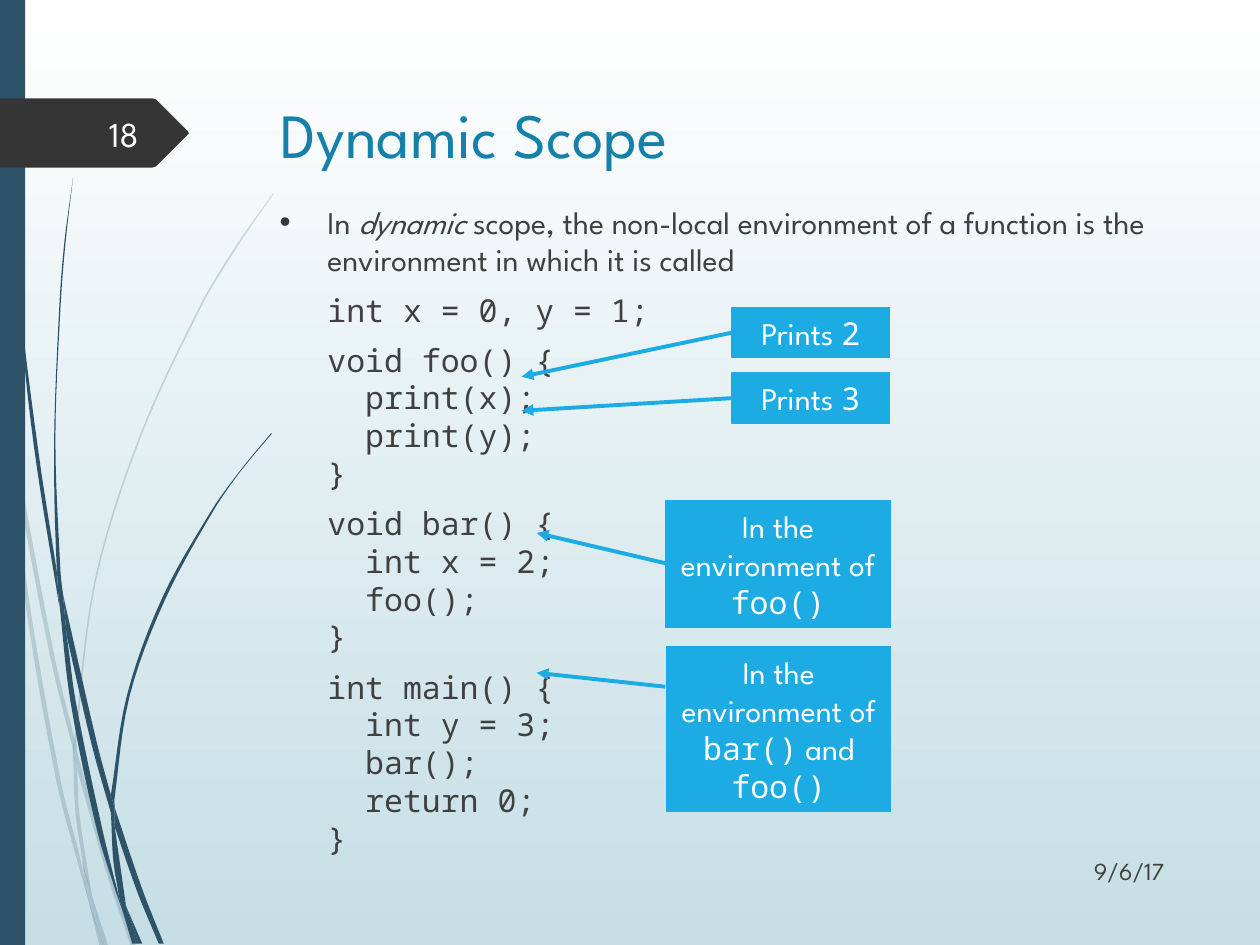
from typing import NamedTuple

from lxml import etree
from pptx import Presentation
from pptx.dml.color import RGBColor
from pptx.enum.shapes import MSO_CONNECTOR, MSO_SHAPE
from pptx.enum.text import MSO_ANCHOR, PP_ALIGN
from pptx.oxml.ns import qn
from pptx.util import Inches, Pt

RECT, LINE = MSO_SHAPE.RECTANGLE, MSO_CONNECTOR.STRAIGHT
LEFT, RIGHT, MID = PP_ALIGN.LEFT, PP_ALIGN.RIGHT, PP_ALIGN.CENTER
TOP, CENTER = MSO_ANCHOR.TOP, MSO_ANCHOR.MIDDLE
SANS, MONO = "League Spartan", "Noto Sans Mono"
NAVY, SKY, DARK, GREY, WHITE = "2E5369", "1CACE3", "353535", "404040", "FFFFFF"

Point = tuple[float, float]


class Wisp(NamedTuple):
    """A blade of grass: one edge going down, the other coming back up."""
    down: list[Point]
    up: list[Point]


class Run(NamedTuple):
    text: str
    font: str = SANS
    italic: bool = False


class Note(NamedTuple):
    box: tuple[float, float, float, float]
    runs: list[Run]
    start: Point
    end: Point


PALE = [
    Wisp([(.1, 3.45), (.43, 5.2), (.59, 5.86)], [(.59, 5.99), (.4, 5.22), (.12, 3.76)]),
    Wisp([(.61, 5.96), (.88, 6.92), (1.08, 7.51)], [(1.04, 7.51), (.85, 6.94), (.61, 6.1)]),
    Wisp([(.73, 7.11), (.86, 7.51)], [(.83, 7.51), (.73, 7.11)]),
    Wisp([(.08, 3.5), (.22, 4.69), (.48, 6.19), (.64, 6.83), (.7, 7.14)],
         [(.64, 6.93), (.45, 6.21), (.19, 4.7), (.08, 3.5)]),
    Wisp([(.58, 5.99), (.61, 6.1), (.63, 6.46), (.73, 7.11)],
         [(.67, 6.92), (.6, 6.46), (.58, 5.99)]),
    Wisp([(2.17, 1.53), (1.86, 1.97), (1.58, 2.44), (1.1, 3.48), (.75, 4.61), (.59, 5.86)],
         [(.61, 5.96), (.61, 5.84), (.76, 4.62), (1.11, 3.49), (1.59, 2.45), (1.87, 1.98),
          (2.17, 1.54)]),
    Wisp([(.7, 7.14), (.79, 7.51)], [(.82, 7.51), (.7, 7.14)]),
    Wisp([(.59, 5.86), (.58, 5.99), (.61, 6.08)], [(.61, 6.1), (.61, 5.96), (.59, 5.86)]),
    Wisp([(.65, 6.83), (.7, 7.14), (.82, 7.51)], [(.83, 7.51), (.73, 7.11), (.65, 6.83)]),
]
DEEP = [
    Wisp([(.02, 0), (.05, 1.1), (.14, 2.33), (.27, 3.55), (.47, 4.81)],
         [(.45, 4.53), (.3, 3.55), (.15, 2.32), (.06, 1.09), (.03, 0)]),
    Wisp([(.5, 4.72), (.77, 5.9), (.88, 6.31)], [(.88, 6.45), (.73, 5.92), (.53, 5.05)]),
    Wisp([(.91, 6.41), (1.13, 7.06), (1.3, 7.49)], [(1.26, 7.49), (1.09, 7.08), (.91, 6.56)]),
    Wisp([(.47, 4.77), (.53, 5.05), (.6, 5.56), (.81, 6.57), (.97, 7.22)],
         [(.92, 7.08), (.77, 6.59), (.56, 5.57), (.47, 4.77)]),
    Wisp([(.58, 1.41), (.51, 1.93), (.47, 2.45), (.43, 3.49), (.45, 4.49), (.49, 4.72)],
         [(.5, 4.72), (.48, 4.53), (.44, 3.49), (.48, 2.45), (.52, 1.93), (.58, 1.41)]),
    Wisp([(1, 7.19), (1.1, 7.49)], [(1.13, 7.49), (1, 7.19)]),
    Wisp([(.45, 4.49), (.47, 4.77), (.53, 5.05)], [(.5, 4.72), (.45, 4.49)]),
    Wisp([(2.15, 3.44), (1.91, 3.73), (1.68, 4.05), (1.29, 4.74), (1.01, 5.51), (.88, 6.31)],
         [(.91, 6.41), (.91, 6.33), (1.03, 5.52), (1.31, 4.76), (1.69, 4.06), (1.91, 3.74),
          (2.16, 3.44)]),
    Wisp([(.97, 7.22), (1.05, 7.49)], [(1.08, 7.49), (.97, 7.22)]),
    Wisp([(.88, 6.45), (.91, 6.91), (1, 7.19)], [(.91, 6.56), (.88, 6.45)]),
    Wisp([(.88, 6.31), (.88, 6.45), (.91, 6.56)], [(.91, 6.41), (.88, 6.31)]),
    Wisp([(.91, 6.91), (.97, 7.22), (1.08, 7.49)], [(1.1, 7.49), (1, 7.19), (.91, 6.91)]),
]
TAG = [(1.49, 1.04), (1.5, 1.06), (1.49, 1.07), (1.24, 1.32), (1.21, 1.33),
       (0, 1.33), (0, .78), (1.21, .78), (1.24, .79)]

INTRO = [Run("In "), Run("dynamic", italic=True),
         Run(" scope, the non-local environment of a function is the "
             "environment in which it is called")]
CODE = [
    "int x = 0, y = 1;",
    "void foo() {\n  print(x);\n  print(y);\n}",
    "void bar() {\n  int x = 2;\n  foo();\n}",
    "int main() {\n  int y = 3;\n  bar();\n  return 0;\n}",
]
SCOPE = Run("In the environment of ")
NOTES = [
    Note((5.81, 2.44, 1.25, .4), [Run("Prints "), Run("2", MONO)], (5.81, 2.64), (4.14, 2.99)),
    Note((5.28, 3.97, 1.79, 1.01), [SCOPE, Run("foo()", MONO)], (5.28, 4.47), (4.26, 4.23)),
    Note((5.29, 5.13, 1.78, 1.31),
         [SCOPE, Run("bar()", MONO), Run(" and "), Run("foo()", MONO)],
         (5.28, 5.45), (4.26, 5.34)),
    Note((5.81, 2.96, 1.25, .4), [Run("Prints "), Run("3", MONO)], (5.81, 3.16), (4.14, 3.26)),
]


def paint(color, code: str) -> None:
    color.rgb = RGBColor.from_string(code)


def fill(shape, code: str) -> None:
    shape.shadow.inherit = False
    shape.fill.solid()
    paint(shape.fill.fore_color, code)
    shape.line.fill.background()


def write(para, runs: list[Run], size: float, code: str, align=LEFT) -> None:
    para.alignment = align
    for item in runs:
        form = {"name": item.font, "size": Pt(size), "italic": item.italic}
        for row, text in enumerate(item.text.split("\n")):
            if row:
                para.add_line_break()
            run = para.add_run()
            run.text = text
            for key, value in form.items():
                setattr(run.font, key, value)
            paint(run.font.color, code)


def add_text(shapes, box: tuple, anchor=CENTER):
    frame = shapes.add_textbox(*map(Inches, box)).text_frame
    frame.word_wrap = True
    frame.vertical_anchor = anchor
    return frame


def smooth(pts: list[Point], steps: int = 6) -> list[Point]:
    """Curve through the points, taking x as a function of y."""
    last = len(pts) - 1
    slope = []
    for i in range(last + 1):
        (xa, ya), (xb, yb) = pts[max(i - 1, 0)], pts[min(i + 1, last)]
        slope.append((xb - xa) / (yb - ya))
    curve = [pts[0]]
    for i in range(last):
        (xa, ya), (xb, yb) = pts[i], pts[i + 1]
        high = yb - ya
        for t in (n / steps for n in range(1, steps + 1)):
            ease = t * t * (3 - 2 * t)
            bend = t * (1 - t) * ((1 - t) * slope[i] - t * slope[i + 1])
            curve.append((xa + (xb - xa) * ease + high * bend, ya + high * t))
    return curve


def add_form(shapes, pts: list[Point], code: str):
    start, *rest = [(Inches(x), Inches(y)) for x, y in pts]
    pen = shapes.build_freeform(*start)
    pen.add_line_segments(rest, close=True)
    form = pen.convert_to_shape()
    fill(form, code)
    return form


def add_note(shapes, note: Note) -> None:
    box = shapes.add_shape(RECT, *map(Inches, note.box))
    fill(box, SKY)
    paint(box.line.color, SKY)
    box.line.width = Pt(.75)
    box.text_frame.word_wrap = True
    write(box.text_frame.paragraphs[0], note.runs, 18, WHITE, MID)
    arrow = shapes.add_connector(LINE, *map(Inches, note.start + note.end))
    paint(arrow.line.color, SKY)
    arrow.line.width = Pt(2.25)
    etree.SubElement(arrow.line._get_or_add_ln(), qn("a:tailEnd"), type="triangle")
    etree.SubElement(arrow._element.spPr, qn("a:effectLst"))


def main() -> None:
    deck = Presentation()
    deck.slide_width, deck.slide_height = Inches(10), Inches(7.5)
    slide = deck.slides.add_slide(deck.slide_layouts[6])
    shapes = slide.shapes

    # Background, grass, side bar and number tag
    back = slide.background.fill
    back.gradient()
    back.gradient_angle = 270
    for stop, code in zip(back.gradient_stops, (WHITE, "C5DEE5")):
        paint(stop.color, code)
    for wisp in PALE + DEEP:
        form = add_form(shapes, smooth(wisp.down) + smooth(wisp.up), NAVY)
        if wisp in PALE:
            tint = form._element.spPr.find(".//" + qn("a:srgbClr"))
            etree.SubElement(tint, qn("a:alpha"), val="20000")
    fill(shapes.add_shape(RECT, 0, 0, Inches(.2), Inches(7.5)), NAVY)
    add_form(shapes, TAG, DARK)

    # Title, date and number
    for box, text, size, code, align in (
            ((2.13, .68, 7.21, .75), "Dynamic Scope", 36, "1581AA", LEFT),
            ((8.01, 6.71, 1.33, .4), "9/6/17", 14, GREY, RIGHT),
            ((.56, .86, .64, .4), "18", 20, "FEFFFF", RIGHT)):
        write(add_text(shapes, box).paragraphs[0], [Run(text)], size, code, align)

    # Bulleted statement, then the code blocks
    body = add_text(shapes, (2.12, 1.56, 7.21, 5), TOP)
    para = body.paragraphs[0]
    props = para._p.get_or_add_pPr()
    props.set("indent", str(-Inches(.38)))
    tint = etree.SubElement(props, qn("a:buClr"))
    etree.SubElement(tint, qn("a:srgbClr"), val=DARK)
    etree.SubElement(props, qn("a:buFont"), typeface="Arial")
    etree.SubElement(props, qn("a:buChar"), char="•")
    write(para, INTRO, 18, GREY)
    for block in CODE:
        para = body.add_paragraph()
        para.space_before = Pt(7)
        write(para, [Run(block, MONO)], 18, GREY)
    for para in body.paragraphs:
        para._p.get_or_add_pPr().set("marL", str(Inches(.38)))

    # Notes with arrows
    for note in NOTES:
        add_note(shapes, note)
    deck.save("out.pptx")


if __name__ == "__main__":
    main()
